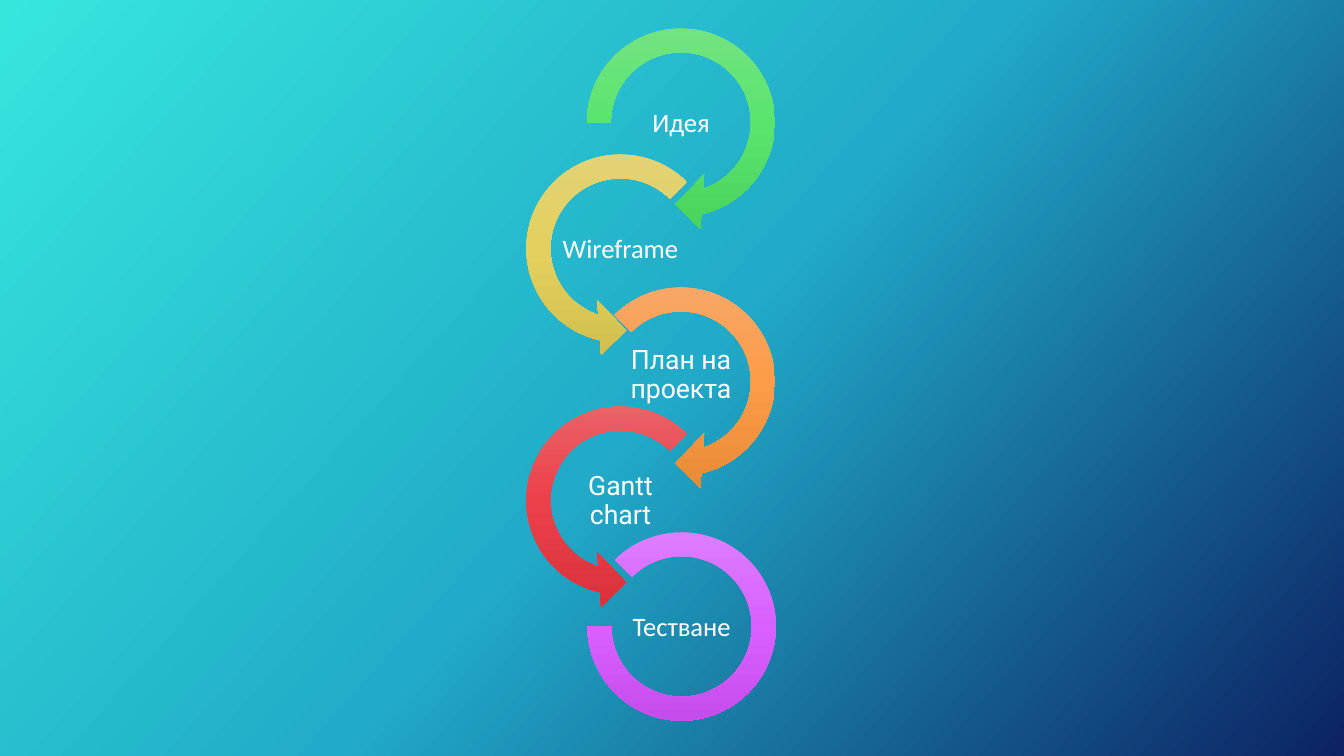
import copy
from dataclasses import dataclass

import pptx
import pptx.dml.color
import pptx.enum.shapes
import pptx.enum.text
import pptx.util

Pt = pptx.util.Pt
RGBColor = pptx.dml.color.RGBColor
Preset = pptx.enum.shapes.MSO_SHAPE


@dataclass(frozen=True)
class Theme:
    """Colours, fonts and type size of the slide."""

    background: tuple[str, ...] = ("36E6DD", "21ABC8", "0C2263")
    green: tuple[str, ...] = ("77E385", "5AE46E", "49D25C")
    yellow: tuple[str, ...] = ("E2D37A", "E3D05E", "D1BE4D")
    orange: tuple[str, ...] = ("F7A96C", "FC9C48", "E98B36")
    red: tuple[str, ...] = ("E9676C", "EC414A", "DA313A")
    violet: tuple[str, ...] = ("DC7DFC", "D960FF", "C64CEC")
    text: str = "FFFFFF"
    calibri: str = "Calibri"
    roboto: str = "Roboto"
    label_size: float = 19


@dataclass(frozen=True)
class Ring:
    """A preset ring with its diameter, centre and adjustments."""

    preset: Preset
    diameter: float
    center_x: float
    adjustments: tuple[float, ...]


@dataclass(frozen=True)
class Step:
    """One step of the process; ring_shift lowers the ring only."""

    label: str
    font: str
    colors: tuple[str, ...]
    ring: Ring
    ring_shift: float = 0


THEME = Theme()
SLIDE_WIDTH, SLIDE_HEIGHT = 960, 540
FIRST_RING_Y, FIRST_LABEL_Y, STEP_PITCH = 87.5, 88.2, 90
LABEL_WIDTH, LABEL_HEIGHT, LABEL_INSET = 87, 44, 0.9
RIGHT_X, LEFT_X, ARROW_DIAMETER = 486.4, 443.2, 156.2

START = Ring(Preset.CIRCULAR_ARROW, ARROW_DIAMETER, RIGHT_X,
             (0.1098, 11.42, 45, 108, 0.125))
LEFT = Ring(Preset.LEFT_CIRCULAR_ARROW, ARROW_DIAMETER, LEFT_X,
            (0.1098, 11.42, 63, 189, 0.125))
RIGHT = Ring(Preset.CIRCULAR_ARROW, ARROW_DIAMETER, RIGHT_X,
             (0.1098, 11.42, 45, 135, 0.125))
END = Ring(Preset.BLOCK_ARC, 134.6, RIGHT_X + 0.5, (135, 108, 0.1274))

STEPS = (
    Step("Идея", THEME.calibri, THEME.green, START),
    Step("Wireframe", THEME.calibri, THEME.yellow, LEFT),
    Step("План на проекта", THEME.roboto, THEME.orange, RIGHT, ring_shift=5),
    Step("Gantt chart", THEME.roboto, THEME.red, LEFT),
    Step("Тестване", THEME.calibri, THEME.violet, END),
)


def apply_gradient(fill, element, colors: tuple[str, ...], angle: float) -> None:
    """Give a fill evenly spaced colours, its angle measured clockwise."""
    fill.gradient()
    fill.gradient_angle = 360 - angle
    stop_list = element.xpath(".//a:gsLst")[0]
    while len(stop_list) < len(colors):
        stop_list.append(copy.deepcopy(stop_list[0]))
    for index, (stop, color) in enumerate(zip(fill.gradient_stops, colors)):
        stop.position = index / (len(colors) - 1)
        stop.color.rgb = RGBColor.from_string(color)


def add_ring(slide, step: Step, center_y: float) -> None:
    """Draw the ring of a step around its centre."""
    ring = step.ring
    radius = ring.diameter / 2
    shape = slide.shapes.add_shape(
        ring.preset, Pt(ring.center_x - radius), Pt(center_y - radius),
        Pt(ring.diameter), Pt(ring.diameter))
    for index, value in enumerate(ring.adjustments):
        shape.adjustments[index] = value
    shape.shadow.inherit = False
    shape.line.fill.background()
    apply_gradient(shape.fill, shape._element, step.colors, angle=90)


def add_label(slide, step: Step, center_y: float) -> None:
    """Write the label of a step in the middle of its ring."""
    text_box = slide.shapes.add_textbox(
        Pt(step.ring.center_x - LABEL_WIDTH / 2),
        Pt(center_y - LABEL_HEIGHT / 2), Pt(LABEL_WIDTH), Pt(LABEL_HEIGHT))
    text_frame = text_box.text_frame
    text_frame.word_wrap = True
    text_frame.vertical_anchor = pptx.enum.text.MSO_ANCHOR.MIDDLE
    text_frame.margin_left = text_frame.margin_right = Pt(LABEL_INSET)
    text_frame.margin_top = text_frame.margin_bottom = Pt(LABEL_INSET)
    text_frame.text = step.label
    paragraph = text_frame.paragraphs[0]
    paragraph.alignment = pptx.enum.text.PP_ALIGN.CENTER
    paragraph.line_spacing = 0.9
    font = paragraph.runs[0].font
    font.name = step.font
    font.size = Pt(THEME.label_size)
    font.color.rgb = RGBColor.from_string(THEME.text)


def main() -> None:
    """Build and save the slide."""
    presentation = pptx.Presentation()
    presentation.slide_width = Pt(SLIDE_WIDTH)
    presentation.slide_height = Pt(SLIDE_HEIGHT)
    slide = presentation.slides.add_slide(presentation.slide_layouts[6])
    apply_gradient(slide.background.fill, slide._element,
                   THEME.background, angle=42)
    for index, step in enumerate(STEPS):
        offset = index * STEP_PITCH
        add_ring(slide, step, FIRST_RING_Y + offset + step.ring_shift)
        add_label(slide, step, FIRST_LABEL_Y + offset)
    presentation.save("out.pptx")


main()
